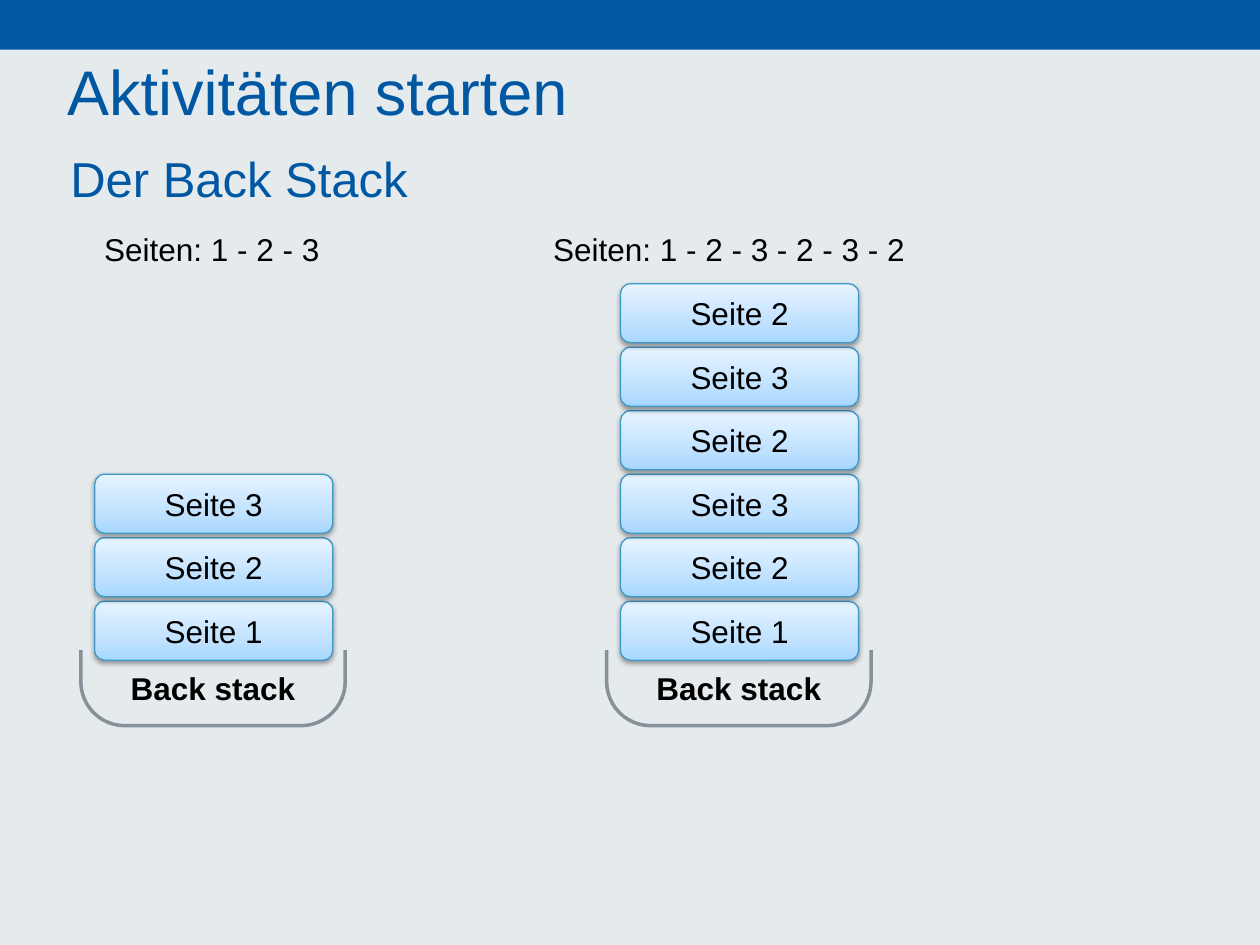
from dataclasses import dataclass

from lxml import etree
from pptx import Presentation
from pptx.dml.color import RGBColor
from pptx.enum import shapes, text
from pptx.oxml import ns
from pptx.util import Cm, Pt


@dataclass(frozen=True)
class Theme:
    font: str = "Arial"
    blue: str = "0057A2"
    panel: str = "E5EAED"
    container: str = "86929A"
    page_line: str = "3C99C8"
    page_stops: tuple = ((0, "A7D7FF"), (35, "C1E2FF"), (100, "E7F4FF"))
    black: str = "000000"
    title_size: int = 36
    subtitle_size: int = 28
    text_size: int = 18


def write(shape, content, *, size, color, font, bold=False, wrap=True,
          align=text.PP_ALIGN.LEFT, anchor=text.MSO_ANCHOR.TOP):
    frame = shape.text_frame
    frame.auto_size = text.MSO_AUTO_SIZE.NONE
    frame.word_wrap = wrap
    frame.vertical_anchor = anchor
    paragraph = frame.paragraphs[0]
    paragraph.alignment = align
    run = paragraph.add_run()
    run.text = content
    run.font.name = font
    run.font.size = Pt(size)
    run.font.bold = bold
    run.font.color.rgb = RGBColor.from_string(color)


def add_color(parent, value, alpha=None):
    color = etree.SubElement(parent, ns.qn("a:srgbClr"), val=value)
    if alpha is not None:
        etree.SubElement(color, ns.qn("a:alpha"), val=str(alpha * 1000))


class SlideBuilder:
    def __init__(self, slide, theme):
        self.slide = slide
        self.theme = theme

    def background(self):
        fill = self.slide.background.fill
        fill.solid()
        fill.fore_color.rgb = RGBColor.from_string(self.theme.panel)

    def title(self, content, box):
        title = self.slide.shapes.title
        title.left, title.top, title.width, title.height = map(Cm, box)
        write(title, content, size=self.theme.title_size, color=self.theme.blue,
              font=self.theme.font, anchor=text.MSO_ANCHOR.BOTTOM)

    def label(self, content, box, **style):
        style = {"size": self.theme.text_size, "color": self.theme.black, **style}
        label = self.slide.shapes.add_textbox(*map(Cm, box))
        write(label, content, font=self.theme.font, **style)

    def shape(self, kind, box, fill=None, line=None, line_width=1, parent=None):
        shape = (parent or self.slide).shapes.add_shape(kind, *map(Cm, box))
        shape.shadow.inherit = False
        if fill:
            shape.fill.solid()
            shape.fill.fore_color.rgb = RGBColor.from_string(fill)
        else:
            shape.fill.background()
        if line:
            shape.line.color.rgb = RGBColor.from_string(line)
            shape.line.width = Pt(line_width)
        else:
            shape.line.fill.background()
        return shape

    def container(self, content, left):
        """An outlined box whose upper part is hidden, leaving an open tray."""
        group = self.slide.shapes.add_group_shape()
        tray = self.shape(shapes.MSO_SHAPE.ROUNDED_RECTANGLE, (left, 7.82, 5.33, 6.81),
                          line=self.theme.container, line_width=2, parent=group)
        write(tray, content, size=self.theme.text_size, color=self.theme.black,
              font=self.theme.font, bold=True, align=text.PP_ALIGN.CENTER,
              anchor=text.MSO_ANCHOR.BOTTOM)
        self.shape(shapes.MSO_SHAPE.RECTANGLE, (left - 0.73, 6.63, 6.81, 6.4),
                   fill=self.theme.panel, line=self.theme.panel, line_width=4.5,
                   parent=group)

    def page(self, content, box):
        page = self.shape(shapes.MSO_SHAPE.ROUNDED_RECTANGLE, box,
                          line=self.theme.page_line, line_width=0.75)
        page.fill.gradient()
        page.fill.gradient_angle = 90
        properties = page._element.spPr
        stops = properties.find(".//" + ns.qn("a:gsLst"))
        for stop in list(stops):
            stops.remove(stop)
        for position, color in self.theme.page_stops:
            add_color(etree.SubElement(stops, ns.qn("a:gs"), pos=str(position * 1000)), color)
        effects = properties.find(ns.qn("a:effectLst"))
        shadow = etree.SubElement(effects, ns.qn("a:outerShdw"), blurRad=str(Pt(3.1)),
                                  dist=str(Pt(1.6)), dir="5400000", rotWithShape="0")
        add_color(shadow, self.theme.black, alpha=38)
        write(page, content, size=self.theme.text_size, color=self.theme.black,
              font=self.theme.font, align=text.PP_ALIGN.CENTER,
              anchor=text.MSO_ANCHOR.MIDDLE)

    def stack(self, left, pages):
        self.container("Back stack", left)
        for level, number in enumerate(pages):
            self.page(f"Seite {number}", (left + 0.28, 12.12 - 1.28 * level, 4.8, 1.19))


presentation = Presentation()
presentation.slide_width, presentation.slide_height = Cm(25.4), Cm(19.05)
theme = Theme()
builder = SlideBuilder(presentation.slides.add_slide(presentation.slide_layouts[5]), theme)

# Background and header band
builder.background()
builder.shape(shapes.MSO_SHAPE.RECTANGLE, (0, 0, 25.4, 1), fill=theme.blue)

# Headings
builder.title("Aktivitäten starten", (1.1, 1, 22.4, 1.72))
builder.label("Der Back Stack", (1.17, 2.87, 22.38, 1.45),
              size=theme.subtitle_size, color=theme.blue)

# Back stacks, each with its visited pages from bottom to top
STACKS = (
    (1.63, (1, 2, 3), (1.85, 4.52, 4.9, 1.02), False),
    (12.23, (1, 2, 3, 2, 3, 2), (10.9, 4.52, 7.85, 1.02), True),
)
for left, pages, label_box, wrap in STACKS:
    builder.stack(left, pages)
    builder.label("Seiten: " + " - ".join(map(str, pages)), label_box, wrap=wrap)

presentation.save("out.pptx")
